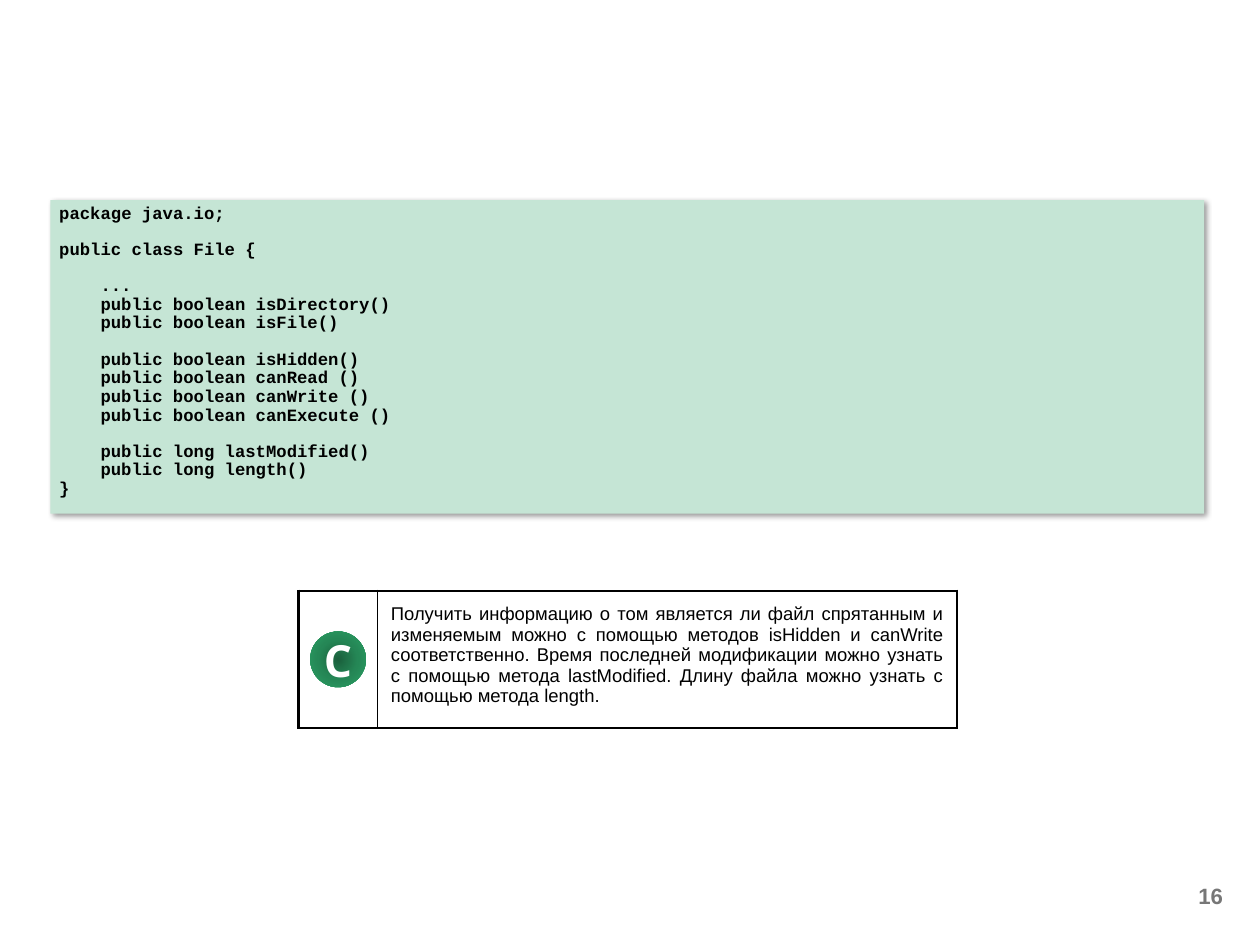
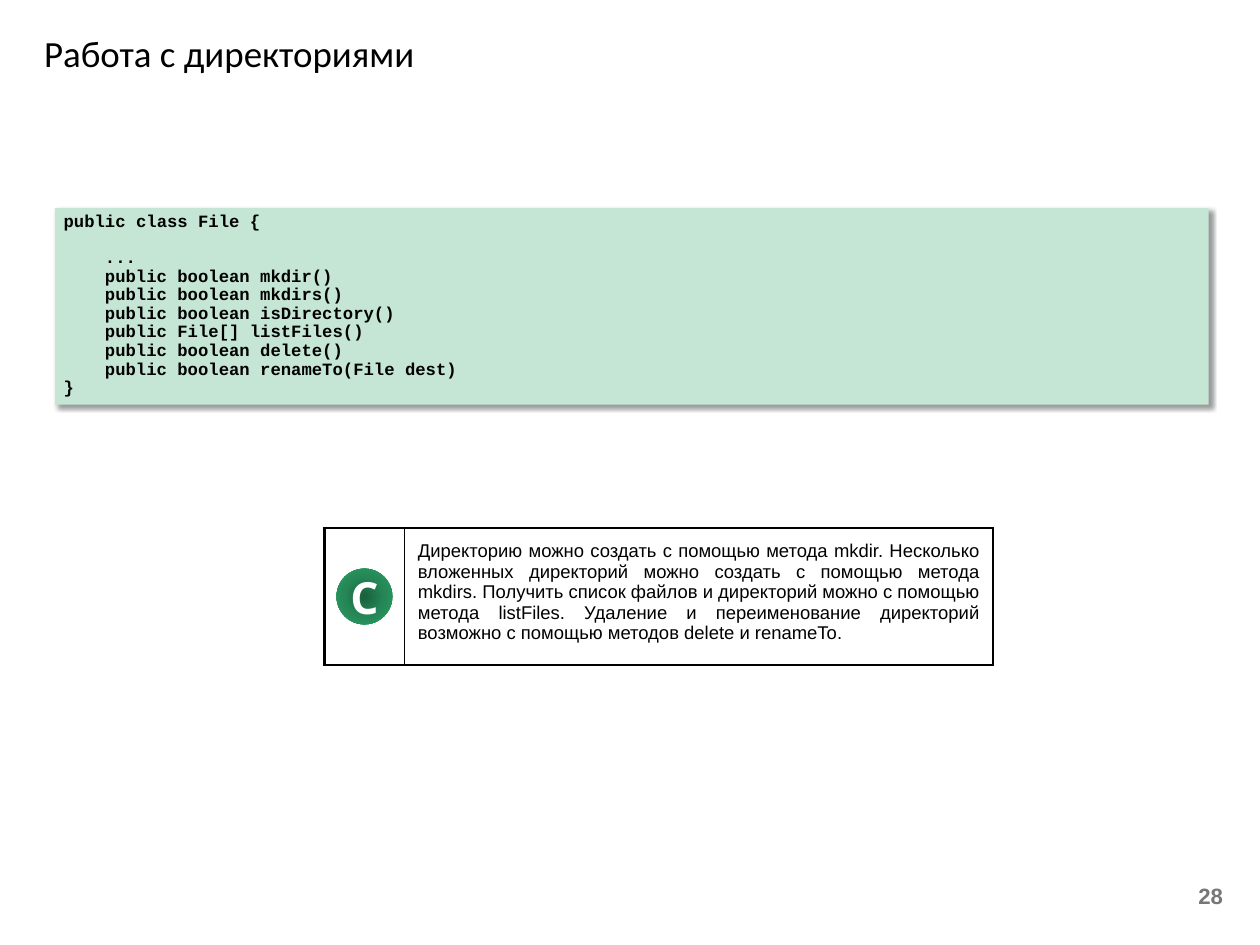
from dataclasses import dataclass
from typing import Any

from lxml.etree import SubElement
from pptx import Presentation
from pptx.dml.color import RGBColor
from pptx.enum.shapes import MSO_SHAPE
from pptx.enum.text import MSO_ANCHOR, MSO_AUTO_SIZE, PP_ALIGN
from pptx.oxml import parse_xml
from pptx.oxml.ns import nsdecls, qn
from pptx.util import Inches, Length, Pt

SLIDE_WIDTH = Inches(14.22)
SLIDE_HEIGHT = Inches(10.67)

BLACK = RGBColor(0x00, 0x00, 0x00)
WHITE = RGBColor(0xFF, 0xFF, 0xFF)
GRAY = RGBColor(0x77, 0x77, 0x77)
MINT = RGBColor(0xC5, 0xE5, 0xD5)
BADGE_STOPS = {
    0: RGBColor(0x1A, 0x5F, 0x3C),
    50: RGBColor(0x25, 0x87, 0x56),
    100: RGBColor(0x2B, 0xA1, 0x66),
}

CODE_INDENT = Pt(33.6)
CODE_GAP = Pt(14.3)
CODE_SPACING = 0.9
BADGE_SIZE = Inches(0.63)
THICK = Pt(2.25)
THIN = Pt(0.5)


@dataclass(frozen=True)
class TextStyle:
    font: dict[str, Any]
    color: RGBColor
    paragraph: dict[str, Any]


TITLE_STYLE = TextStyle({"name": "Calibri", "size": Pt(30)}, BLACK, {"alignment": PP_ALIGN.LEFT})
NUMBER_STYLE = TextStyle({"name": "Arial", "size": Pt(18), "bold": True}, GRAY, {"alignment": PP_ALIGN.RIGHT})
CODE_STYLE = TextStyle({"name": "Courier New", "size": Pt(14), "bold": True}, BLACK, {"alignment": PP_ALIGN.LEFT})
SUMMARY_STYLE = TextStyle({"name": "Arial", "size": Pt(15)}, BLACK, {"alignment": PP_ALIGN.JUSTIFY})
BADGE_STYLE = TextStyle({"name": "Open Sans", "size": Pt(36), "bold": True}, WHITE, {"alignment": PP_ALIGN.CENTER})

MARGINS = ("margin_left", "margin_top", "margin_right", "margin_bottom")
CENTERED_FRAME = {"word_wrap": True, "vertical_anchor": MSO_ANCHOR.MIDDLE}
TITLE_FRAME = {"word_wrap": True, "vertical_anchor": MSO_ANCHOR.TOP}
CODE_FRAME = TITLE_FRAME | {"auto_size": MSO_AUTO_SIZE.SHAPE_TO_FIT_TEXT}
BADGE_FRAME = CENTERED_FRAME | dict.fromkeys(MARGINS, 0)
SUMMARY_CELL = dict.fromkeys(MARGINS, Inches(0.15))
PLAIN_TABLE = {"first_row": False, "horz_banding": False}


@dataclass(frozen=True)
class Box:
    left: float
    top: float
    width: float
    height: float

    def lengths(self) -> tuple[Length, Length, Length, Length]:
        return (
            Length(round(SLIDE_WIDTH * self.left / 100)),
            Length(round(SLIDE_HEIGHT * self.top / 100)),
            Length(round(SLIDE_WIDTH * self.width / 100)),
            Length(round(SLIDE_HEIGHT * self.height / 100)),
        )


@dataclass(frozen=True)
class CodeBlock:
    lines: tuple[str, ...]
    indented: bool = True
    gap_before: bool = True


@dataclass(frozen=True)
class Lesson:
    number: int
    title: str
    code_box: Box
    code: tuple[CodeBlock, ...]
    summary_box: Box
    badge_column: float
    summary: str


TITLE_BOX = Box(2.81, 2.81, 77.57, 5.9)
NUMBER_BOX = Box(74.4, 92.31, 23.35, 4.97)
CLOSING = CodeBlock(("}",), indented=False, gap_before=False)

LESSONS = (
    Lesson(
        number=16,
        title="",
        code_box=Box(4.01, 21.18, 91.56, 33.18),
        code=(
            CodeBlock(("package java.io;",), indented=False, gap_before=False),
            CodeBlock(("public class File {",), indented=False),
            CodeBlock(("...", "public boolean isDirectory()", "public boolean isFile()")),
            CodeBlock((
                "public boolean isHidden()",
                "public boolean canRead ()",
                "public boolean canWrite ()",
                "public boolean canExecute ()",
            )),
            CodeBlock(("public long lastModified()", "public long length()")),
            CLOSING,
        ),
        summary_box=Box(23.7, 62.51, 52.25, 14.53),
        badge_column=0.12,
        summary="Получить информацию о том является ли файл спрятанным и изменяемым "
        "можно с помощью методов isHidden и canWrite соответственно. Время последней "
        "модификации можно узнать с помощью метода lastModified. Длину файла можно "
        "узнать с помощью метода length.",
    ),
    Lesson(
        number=28,
        title="Работа с директориями",
        code_box=Box(4.36, 22.02, 91.56, 20.81),
        code=(
            CodeBlock(("public class File {",), indented=False, gap_before=False),
            CodeBlock((
                "...",
                "public boolean mkdir()",
                "public boolean mkdirs()",
                "public boolean isDirectory()",
                "public File[] listFiles()",
                "public boolean delete()",
                "public boolean renameTo(File dest)",
            )),
            CLOSING,
        ),
        summary_box=Box(25.74, 55.86, 53.09, 14.53),
        badge_column=0.12,
        summary="Директорию можно создать с помощью метода mkdir. Несколько вложенных "
        "директорий можно создать с помощью метода mkdirs. Получить список файлов и "
        "директорий можно с помощью метода listFiles. Удаление и переименование "
        "директорий возможно с помощью методов delete и renameTo.",
    ),
)


def set_attributes(target: Any, values: dict[str, Any]) -> None:
    for name, value in values.items():
        setattr(target, name, value)


def write(paragraph: Any, text: str, style: TextStyle) -> None:
    set_attributes(paragraph, style.paragraph)
    run = paragraph.add_run()
    run.text = text
    set_attributes(run.font, style.font)
    run.font.color.rgb = style.color


def add_text(slide: Any, box: Box, text: str, style: TextStyle, frame: dict[str, Any]) -> None:
    shape = slide.shapes.add_textbox(*box.lengths())
    set_attributes(shape.text_frame, frame)
    write(shape.text_frame.paragraphs[0], text, style)


def add_shadow(shape: Any) -> None:
    shape.shadow.inherit = False
    effects = shape.element.spPr.find(qn("a:effectLst"))
    shadow = SubElement(
        effects, qn("a:outerShdw"), blurRad=str(Pt(4)), dist=str(Pt(3)), dir="2700000", algn="tl", rotWithShape="0"
    )
    color = SubElement(shadow, qn("a:srgbClr"), val=str(BLACK))
    SubElement(color, qn("a:alpha"), val="40000")


def add_code(slide: Any, box: Box, blocks: tuple[CodeBlock, ...]) -> None:
    panel = slide.shapes.add_shape(MSO_SHAPE.RECTANGLE, *box.lengths())
    panel.fill.solid()
    panel.fill.fore_color.rgb = MINT
    panel.line.fill.background()
    add_shadow(panel)
    frame = panel.text_frame
    set_attributes(frame, CODE_FRAME)
    paragraph = frame.paragraphs[0]
    for block_index, block in enumerate(blocks):
        for line_index, line in enumerate(block.lines):
            if block_index or line_index:
                paragraph = frame.add_paragraph()
            paragraph.line_spacing = CODE_SPACING
            if block.gap_before and line_index == 0:
                paragraph.space_before = CODE_GAP
            if block.indented:
                properties = paragraph._p.get_or_add_pPr()
                properties.set("marL", str(CODE_INDENT))
                properties.set("indent", "0")
            write(paragraph, line, CODE_STYLE)


def set_borders(cell: Any, borders: dict[str, Length]) -> None:
    properties = cell._tc.get_or_add_tcPr()
    for position, (side, width) in enumerate(borders.items()):
        border = parse_xml(
            f'<a:ln{side} {nsdecls("a")} w="{width}"><a:solidFill>'
            f'<a:srgbClr val="{BLACK}"/></a:solidFill></a:ln{side}>'
        )
        properties.insert(position, border)


def add_badge(slide: Any, center_x: int, center_y: int) -> None:
    badge = slide.shapes.add_shape(
        MSO_SHAPE.OVAL, center_x - BADGE_SIZE // 2, center_y - BADGE_SIZE // 2, BADGE_SIZE, BADGE_SIZE
    )
    badge.line.fill.background()
    badge.shadow.inherit = False
    stops = "".join(
        f'<a:gs pos="{position * 1000}"><a:srgbClr val="{color}"/></a:gs>'
        for position, color in BADGE_STOPS.items()
    )
    gradient = parse_xml(
        f'<a:gradFill {nsdecls("a")}><a:gsLst>{stops}</a:gsLst><a:path path="circle">'
        '<a:fillToRect l="50000" t="50000" r="50000" b="50000"/></a:path></a:gradFill>'
    )
    badge.element.spPr.find(qn("a:prstGeom")).addnext(gradient)
    set_attributes(badge.text_frame, BADGE_FRAME)
    write(badge.text_frame.paragraphs[0], "C", BADGE_STYLE)


def add_summary(slide: Any, lesson: Lesson) -> None:
    left, top, width, height = lesson.summary_box.lengths()
    table = slide.shapes.add_table(1, 2, left, top, width, height).table
    set_attributes(table, PLAIN_TABLE)
    badge_width = round(width * lesson.badge_column)
    for column, column_width in zip(table.columns, (badge_width, width - badge_width)):
        column.width = column_width
    badge_cell, text_cell = table.cell(0, 0), table.cell(0, 1)
    for cell, left_border, right_border in ((badge_cell, THICK, THIN), (text_cell, THIN, THICK)):
        cell.fill.solid()
        cell.fill.fore_color.rgb = WHITE
        set_borders(cell, {"L": left_border, "R": right_border, "T": THICK, "B": THICK})
    set_attributes(text_cell, SUMMARY_CELL)
    write(text_cell.text_frame.paragraphs[0], lesson.summary, SUMMARY_STYLE)
    add_badge(slide, left + badge_width // 2, top + height // 2)


def add_lesson(presentation: Any, lesson: Lesson) -> None:
    slide = presentation.slides.add_slide(presentation.slide_layouts[6])
    if lesson.title:
        add_text(slide, TITLE_BOX, lesson.title, TITLE_STYLE, TITLE_FRAME)
    add_text(slide, NUMBER_BOX, str(lesson.number), NUMBER_STYLE, CENTERED_FRAME)
    add_code(slide, lesson.code_box, lesson.code)
    add_summary(slide, lesson)


def main() -> None:
    presentation = Presentation()
    set_attributes(presentation, {"slide_width": SLIDE_WIDTH, "slide_height": SLIDE_HEIGHT})
    for lesson in LESSONS:
        add_lesson(presentation, lesson)
    presentation.save("out.pptx")


if __name__ == "__main__":
    main()
